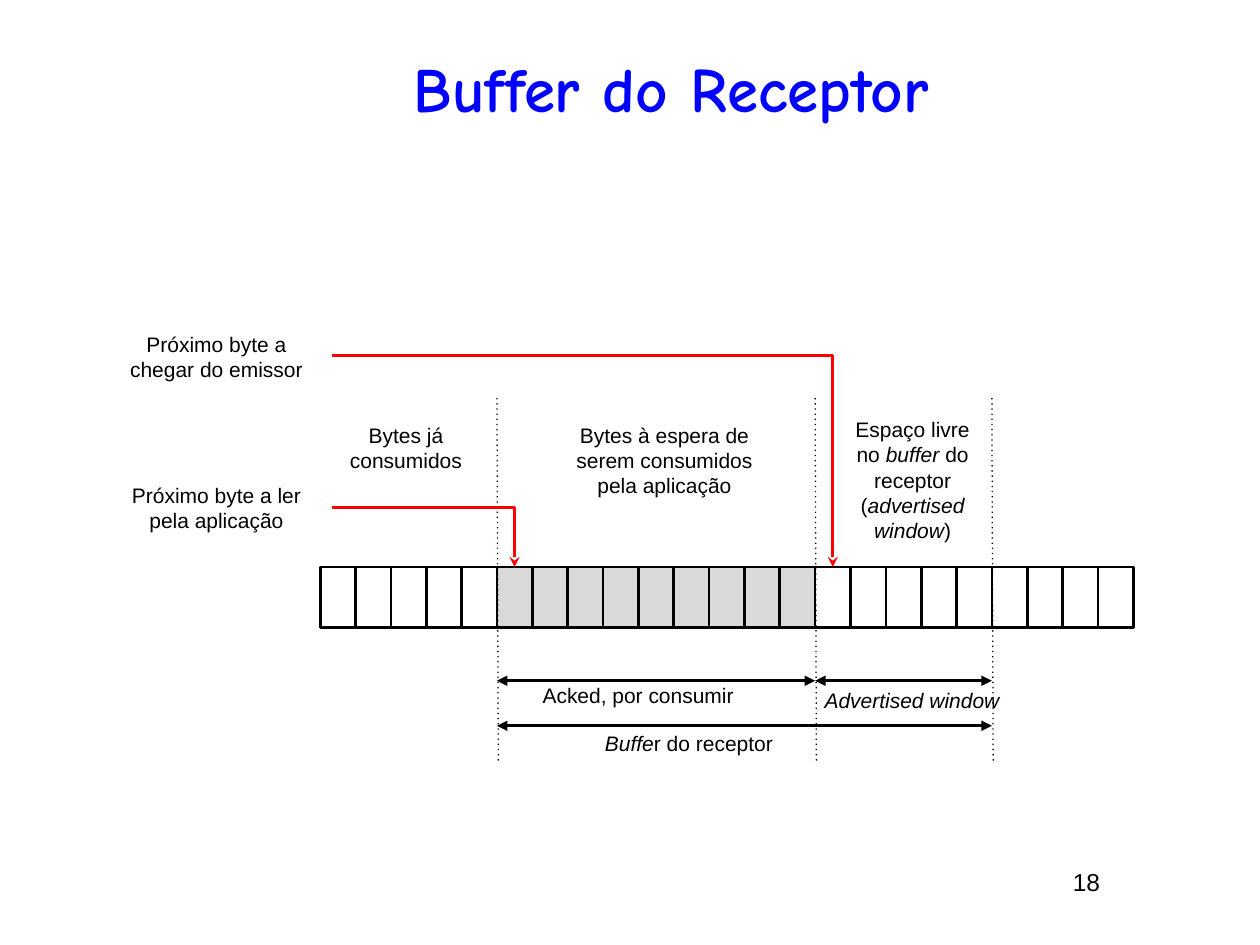
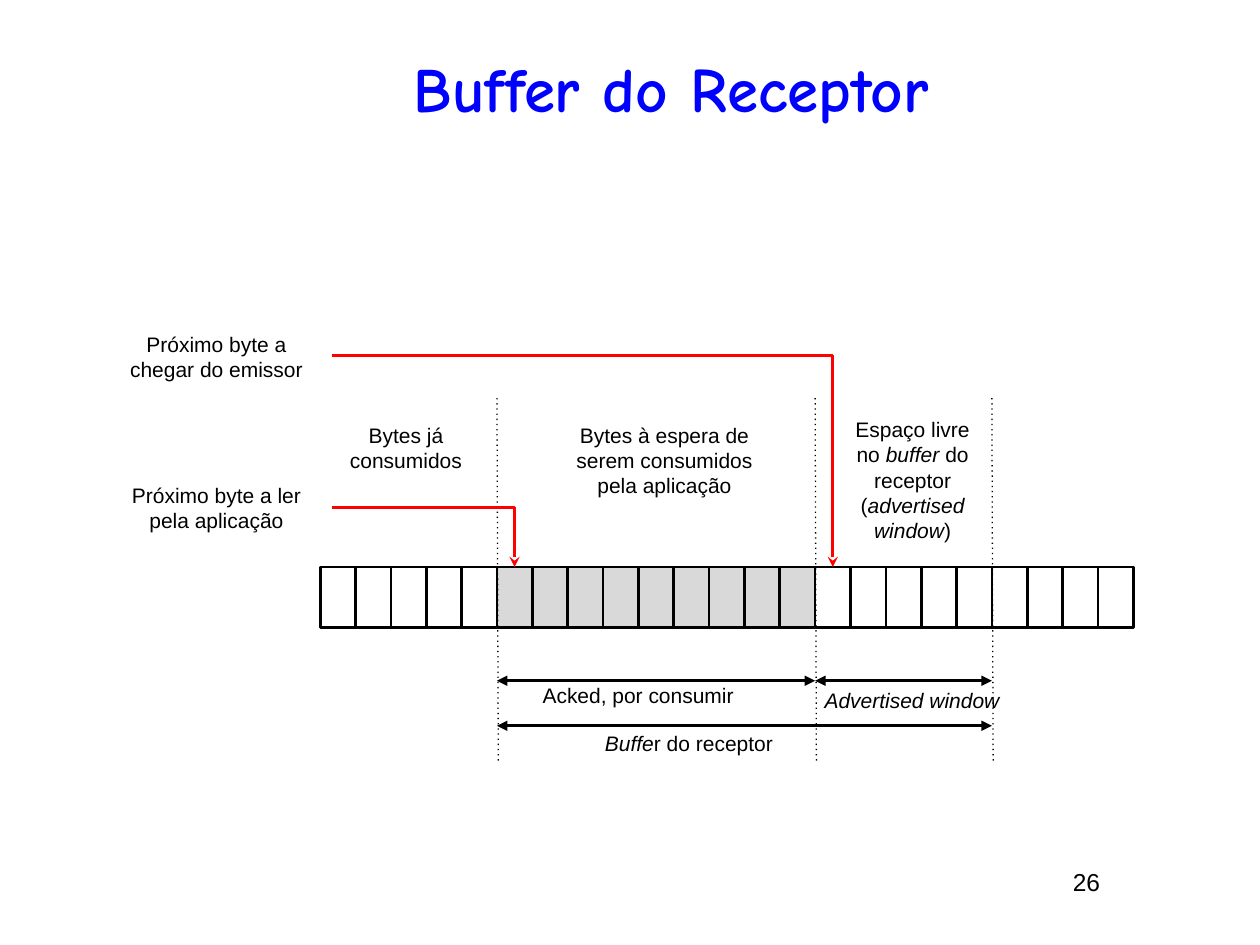
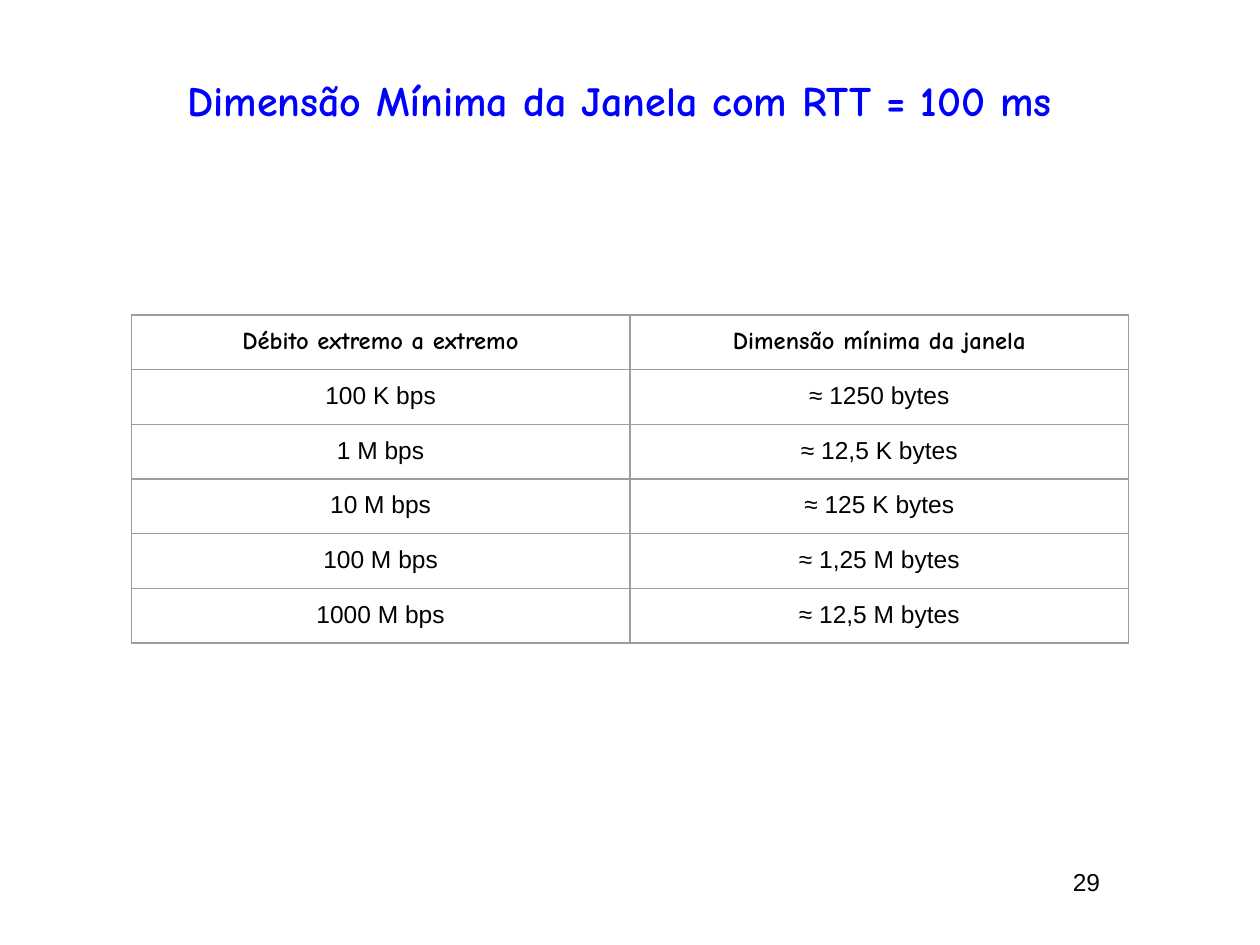
"""Build three slides on the receiver buffer and the minimum window size."""
from typing import NamedTuple

from lxml.etree import SubElement
from pptx import Presentation
from pptx.dml.color import RGBColor
from pptx.enum.shapes import MSO_CONNECTOR, MSO_SHAPE
from pptx.enum.text import MSO_ANCHOR, PP_ALIGN
from pptx.oxml.ns import qn
from pptx.shapes.connector import Connector
from pptx.slide import Slide
from pptx.table import _Cell
from pptx.text.text import TextFrame
from pptx.util import Pt

BLACK = RGBColor(0x00, 0x00, 0x00)
BLUE = RGBColor(0x00, 0x00, 0xFF)
RED = RGBColor(0xFF, 0x00, 0x00)
WAITING_GRAY = RGBColor(0xD9, 0xD9, 0xD9)
BORDER_GRAY = RGBColor(0x9E, 0x9E, 0x9E)
BODY_FONT = "Arial"
TITLE_FONT = "Comic Neue"
INSET = 7.2

BUFFER_LEFT, BUFFER_TOP = 183, 324
BYTE_WIDTH, BYTE_HEIGHT = 20.2, 34.5
BYTE_COUNT = 23
READ_INDEX, ARRIVAL_INDEX, END_INDEX = 5, 14, 19
GUIDE_TOP, GUIDE_BOTTOM = 227.5, 436.5
POINTER_LEFT = 190


class Box(NamedTuple):
    """Left, top, width and height in points."""

    left: float
    top: float
    width: float
    height: float


class Label(NamedTuple):
    """A text of the diagram; words between asterisks are italic."""

    text: str
    box: Box
    anchor: MSO_ANCHOR = MSO_ANCHOR.TOP


class Span(NamedTuple):
    """A double arrow between two byte boundaries."""

    first: int
    last: int
    y: float


class Pointer(NamedTuple):
    """A bent arrow from a height down to one byte."""

    index: int
    y: float


LABELS = [
    Label("Bytes já consumidos", Box(190, 234, 84, 56)),
    Label("Bytes à espera de serem consumidos pela aplicação", Box(321, 234, 117.5, 75)),
    Label("Espaço livre no *buffer* do receptor (*advertised window*)", Box(479.5, 231, 84, 81)),
    Label("Próximo byte a chegar do emissor", Box(57.5, 186.5, 132.5, 34.5), MSO_ANCHOR.MIDDLE),
    Label("Próximo byte a ler pela aplicação", Box(57.5, 273, 132.5, 34.5), MSO_ANCHOR.MIDDLE),
    Label("Acked, por consumir", Box(298.5, 383, 132.5, 25)),
    Label("*Advertised window*", Box(455, 385.5, 132.5, 25)),
    Label("*Buffe*r do receptor", Box(327.5, 410.5, 132.5, 25)),
]
SPANS = [
    Span(READ_INDEX, ARRIVAL_INDEX, 389),
    Span(ARRIVAL_INDEX, END_INDEX, 389),
    Span(READ_INDEX, END_INDEX, 414.75),
]
POINTERS = [Pointer(ARRIVAL_INDEX, 203.25), Pointer(READ_INDEX, 290)]
WINDOW_ROWS = [
    ("Débito extremo a extremo", "Dimensão mínima da janela"),
    ("100 K bps", "≈ 1250 bytes"),
    ("1 M bps", "≈ 12,5 K bytes"),
    ("10 M bps", "≈ 125 K bytes"),
    ("100 M bps", "≈ 1,25 M bytes"),
    ("1000 M bps", "≈ 12,5 M bytes"),
]


def write_text(frame: TextFrame, text: str, *, size: float = 12, font: str = BODY_FONT,
               color: RGBColor = BLACK, bold: bool = False,
               align: PP_ALIGN = PP_ALIGN.CENTER) -> None:
    """Write one paragraph, with the parts between asterisks in italics."""
    paragraph = frame.paragraphs[0]
    paragraph.alignment = align
    for index, part in enumerate(text.split("*")):
        if part:
            run = paragraph.add_run()
            run.text = part
            run.font.size = Pt(size)
            run.font.name = font
            run.font.bold = bold
            run.font.italic = index % 2 == 1
            run.font.color.rgb = color


def add_text_box(slide: Slide, box: Box, text: str, *, anchor: MSO_ANCHOR = MSO_ANCHOR.TOP,
                 inset: float = INSET, **text_format) -> None:
    """Add a wrapping text box."""
    frame = slide.shapes.add_textbox(*map(Pt, box)).text_frame
    frame.word_wrap = True
    frame.vertical_anchor = anchor
    frame.margin_left = frame.margin_right = Pt(INSET)
    frame.margin_top = frame.margin_bottom = Pt(inset)
    write_text(frame, text, **text_format)


def add_line(slide: Slide, start: tuple[float, float], end: tuple[float, float], *,
             kind: MSO_CONNECTOR = MSO_CONNECTOR.STRAIGHT, color: RGBColor = BLACK,
             width: float = 1.5, dash: str = "", head: str = "", tail: str = "") -> Connector:
    """Add a connector with an optional dash and arrowheads."""
    connector = slide.shapes.add_connector(kind, *map(Pt, (*start, *end)))
    connector.line.color.rgb = color
    connector.line.width = Pt(width)
    properties = connector.element.spPr
    line = properties.find(qn("a:ln"))
    if dash:
        SubElement(line, qn("a:prstDash"), val=dash)
    for tag, arrow in (("a:headEnd", head), ("a:tailEnd", tail)):
        if arrow:
            SubElement(line, qn(tag), type=arrow)
    SubElement(properties, qn("a:effectLst"))
    return connector


def boundary(index: int) -> float:
    """Return the left edge of a byte of the buffer."""
    return BUFFER_LEFT + index * BYTE_WIDTH


def add_byte(slide: Slide, index: int) -> None:
    """Add one byte, gray while it waits to be read."""
    box = Box(boundary(index), BUFFER_TOP, BYTE_WIDTH, BYTE_HEIGHT)
    shape = slide.shapes.add_shape(MSO_SHAPE.RECTANGLE, *map(Pt, box))
    shape.shadow.inherit = False
    shape.line.color.rgb = BLACK
    shape.line.width = Pt(1.5)
    if READ_INDEX <= index < ARRIVAL_INDEX:
        shape.fill.solid()
        shape.fill.fore_color.rgb = WAITING_GRAY
    else:
        shape.fill.background()


def add_pointer(slide: Slide, pointer: Pointer) -> None:
    """Add a red arrow that turns once, down to the middle of a byte."""
    end = (boundary(pointer.index) + BYTE_WIDTH / 2, BUFFER_TOP)
    connector = add_line(slide, (POINTER_LEFT, pointer.y), end, kind=MSO_CONNECTOR.ELBOW,
                         color=RED, tail="stealth")
    connector.element.spPr.find(qn("a:prstGeom")).set("prst", "bentConnector2")


def add_slide(presentation: Presentation, number: int, title: str, title_box: Box,
              title_size: float) -> Slide:
    """Add a blank slide with its title and number."""
    slide = presentation.slides.add_slide(presentation.slide_layouts[6])
    add_text_box(slide, title_box, title, anchor=MSO_ANCHOR.MIDDLE, inset=3.6,
                 size=title_size, font=TITLE_FONT, color=BLUE, bold=True)
    add_text_box(slide, Box(606, 492, 72, 30), str(number), inset=3.6, size=14,
                 align=PP_ALIGN.LEFT)
    return slide


def add_buffer_slide(presentation: Presentation, number: int) -> None:
    """Add the diagram of the receiver buffer."""
    slide = add_slide(presentation, number, "Buffer do Receptor", Box(60, 15, 647, 70), 36)
    for index in range(BYTE_COUNT):
        add_byte(slide, index)
    for index in (READ_INDEX, ARRIVAL_INDEX, END_INDEX):
        x = boundary(index)
        add_line(slide, (x, GUIDE_TOP), (x + 0.75, GUIDE_BOTTOM), width=0.75, dash="dot")
    for span in SPANS:
        add_line(slide, (boundary(span.first), span.y), (boundary(span.last), span.y),
                 head="triangle", tail="triangle")
    for label in LABELS:
        add_text_box(slide, label.box, label.text, anchor=label.anchor)
    for pointer in POINTERS:
        add_pointer(slide, pointer)


def format_cell(cell: _Cell) -> None:
    """Give a table cell gray borders, even margins and no fill."""
    properties = cell._tc.get_or_add_tcPr()
    for side in "LRTB":
        border = SubElement(properties, qn(f"a:ln{side}"), w=str(Pt(0.75)))
        fill = SubElement(border, qn("a:solidFill"))
        SubElement(fill, qn("a:srgbClr"), val=str(BORDER_GRAY))
    cell.fill.background()
    cell.margin_left = cell.margin_right = cell.margin_top = cell.margin_bottom = Pt(INSET)


def add_window_slide(presentation: Presentation, number: int) -> None:
    """Add the table of minimum window sizes."""
    slide = add_slide(presentation, number, "Dimensão Mínima da Janela com RTT = 100 ms",
                      Box(24, 30, 660, 54), 24)
    box = Box(75, 180, 570, 30 * len(WINDOW_ROWS))
    table = slide.shapes.add_table(len(WINDOW_ROWS), 2, *map(Pt, box)).table
    table.first_row = table.horz_banding = False
    for row_index, row in enumerate(WINDOW_ROWS):
        is_header = row_index == 0
        for column_index, text in enumerate(row):
            cell = table.cell(row_index, column_index)
            format_cell(cell)
            write_text(cell.text_frame, text, size=14, bold=is_header,
                       font=TITLE_FONT if is_header else BODY_FONT)


def main() -> None:
    """Build and save the presentation."""
    presentation = Presentation()
    presentation.slide_width, presentation.slide_height = Pt(720), Pt(540)
    add_buffer_slide(presentation, 18)
    add_buffer_slide(presentation, 26)
    add_window_slide(presentation, 29)
    presentation.save("out.pptx")


if __name__ == "__main__":
    main()
